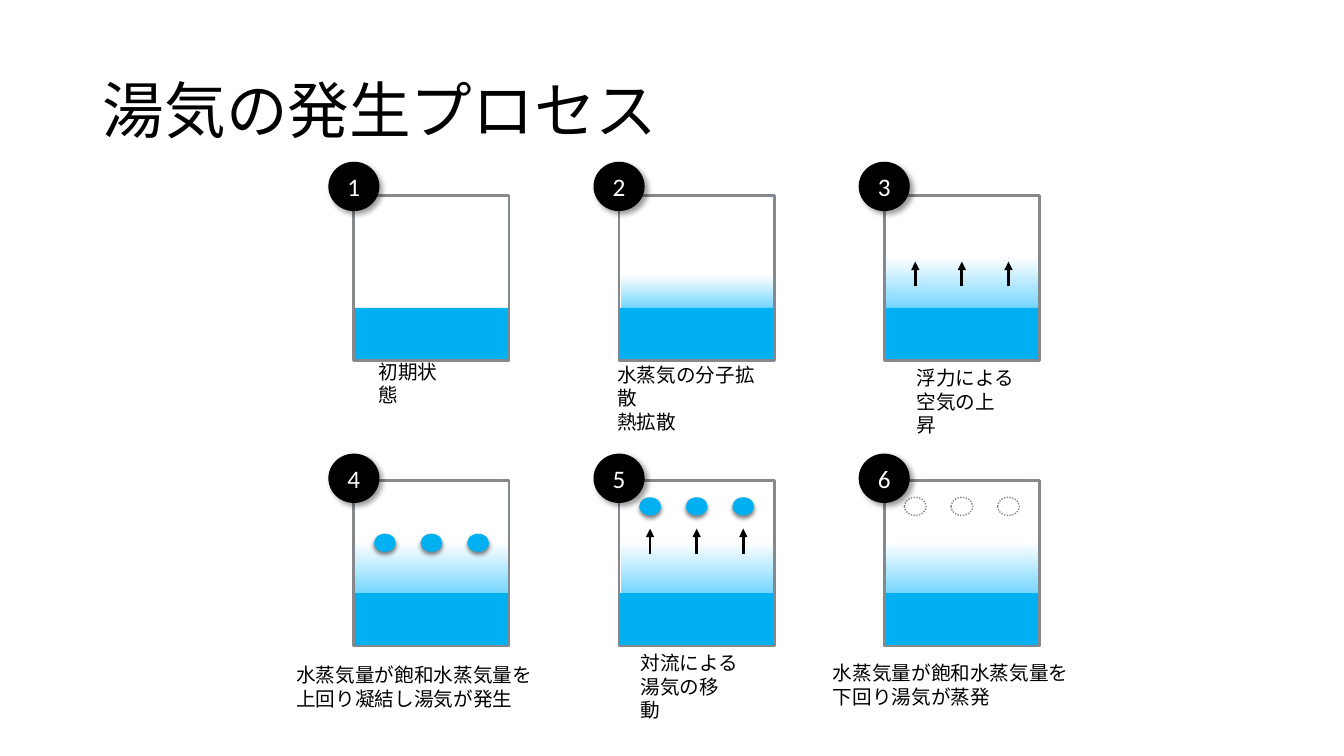
from dataclasses import dataclass

from lxml import etree
from pptx import Presentation
from pptx.dml.color import RGBColor
from pptx.enum.dml import MSO_LINE
from pptx.enum.shapes import MSO_CONNECTOR, MSO_SHAPE
from pptx.enum.text import MSO_ANCHOR, MSO_AUTO_SIZE, PP_ALIGN
from pptx.oxml.ns import qn
from pptx.shapes.autoshape import Shape
from pptx.slide import Slide
from pptx.text.text import TextFrame
from pptx.util import Inches, Length, Pt

RECTANGLE, OVAL = MSO_SHAPE.RECTANGLE, MSO_SHAPE.OVAL
STRAIGHT = MSO_CONNECTOR.STRAIGHT
DOTTED = MSO_LINE.ROUND_DOT
MIDDLE = MSO_ANCHOR.MIDDLE
LEFT, CENTER = PP_ALIGN.LEFT, PP_ALIGN.CENTER
FIT_SHAPE, NO_FIT = MSO_AUTO_SIZE.SHAPE_TO_FIT_TEXT, MSO_AUTO_SIZE.NONE

BLACK = RGBColor(0x00, 0x00, 0x00)
WHITE = RGBColor(0xFF, 0xFF, 0xFF)
WATER = RGBColor(0x00, 0xB0, 0xF0)
VAPOUR = RGBColor(0x76, 0xD6, 0xFF)
GRAY = RGBColor(0x85, 0x88, 0x8D)
FONT = "Calibri"

COLUMNS = 3
GRID_LEFT, GRID_TOP = 3.51, 1.94
COLUMN_PITCH, ROW_PITCH = 2.63, 2.83
TANK_WIDTH, TANK_HEIGHT = 1.54, 1.64
WATER_TOP = 0.68
MARK_STEP = 0.3
BADGE_TOPS = (-0.2, -0.16)


@dataclass(frozen=True)
class Shadow:
    opacity: int
    blur: int
    distance: int
    angle: int


@dataclass(frozen=True)
class Caption:
    text: str
    left: float
    top: float
    width: float
    height: float = 0.35


@dataclass(frozen=True)
class Stage:
    caption: Caption
    vapour_top: float | None = None
    droplet_top: float | None = None
    arrow_top: float | None = None
    evaporated: bool = False


@dataclass(frozen=True)
class Tank:
    column: int
    row: int

    def x(self, share: float) -> Length:
        return Inches(GRID_LEFT + self.column * COLUMN_PITCH + share * TANK_WIDTH)

    def y(self, share: float) -> Length:
        return Inches(GRID_TOP + self.row * ROW_PITCH + share * TANK_HEIGHT)

    def area(self, left: float, top: float, width: float, height: float) -> tuple[Length, ...]:
        return self.x(left), self.y(top), Inches(width * TANK_WIDTH), Inches(height * TANK_HEIGHT)


DROPLET_SHADOW = Shadow(50, 3, 2, 90)
BADGE_SHADOW = Shadow(40, 4, 3, 45)

STAGES = (
    Stage(Caption("初期状態", 0.12, 1.03, 0.58, 0.21)),
    Stage(Caption("水蒸気の分子拡散\v熱拡散", -0.05, 1.05, 1.09), vapour_top=0.48),
    Stage(Caption("浮力による\v空気の上昇", 0.17, 1.07, 0.71), vapour_top=0.37, arrow_top=0.4),
    Stage(Caption("水蒸気量が飽和水蒸気量を\n上回り凝結し湯気が発生", -0.41, 1.07, 1.6),
          vapour_top=0.37, droplet_top=0.32),
    Stage(Caption("対流による\v湯気の移動", 0.1, 1.07, 0.71),
          vapour_top=0.37, droplet_top=0.1, arrow_top=0.29),
    Stage(Caption("水蒸気量が飽和水蒸気量を\n下回り湯気が蒸発", -0.37, 1.06, 1.6),
          vapour_top=0.37, droplet_top=0.1, evaporated=True),
)


def write(frame: TextFrame, text: str, size: int, color: RGBColor, align: PP_ALIGN) -> None:
    frame.text = text
    frame.vertical_anchor = MIDDLE
    for para in frame.paragraphs:
        para.alignment = align
        for span in para.runs:
            span.font.name = FONT
            span.font.size = Pt(size)
            span.font.color.rgb = color


def add_shape(page: Slide, kind: MSO_SHAPE, area: tuple[Length, ...],
              fill: RGBColor | None = None, line: RGBColor | None = None,
              line_width: int = 1) -> Shape:
    shape = page.shapes.add_shape(kind, *area)
    shape.shadow.inherit = False
    if fill is None:
        shape.fill.background()
    else:
        shape.fill.solid()
        shape.fill.fore_color.rgb = fill
    if line is None:
        shape.line.fill.background()
    else:
        shape.line.color.rgb = line
        shape.line.width = Pt(line_width)
    return shape


def cast_shadow(shape: Shape, shadow: Shadow) -> None:
    effects = shape.element.spPr.find(qn("a:effectLst"))
    outer = etree.SubElement(effects, qn("a:outerShdw"), blurRad=str(Pt(shadow.blur)),
                             dist=str(Pt(shadow.distance)), dir=str(shadow.angle * 60000),
                             rotWithShape="0")
    color = etree.SubElement(outer, qn("a:srgbClr"), val=str(BLACK))
    etree.SubElement(color, qn("a:alpha"), val=str(shadow.opacity * 1000))


def add_vapour(page: Slide, tank: Tank, top: float) -> None:
    vapour = add_shape(page, RECTANGLE, tank.area(0.01, top, 0.98, WATER_TOP - top))
    vapour.fill.gradient()
    vapour.fill.gradient_angle = 270
    for stop, color, position in zip(vapour.fill.gradient_stops, (WHITE, VAPOUR), (0, 1)):
        stop.color.rgb = color
        stop.position = position


def add_droplets(page: Slide, tank: Tank, top: float, evaporated: bool) -> None:
    for index in range(3):
        area = tank.area(0.13 + index * MARK_STEP, top, 0.14, 0.11)
        if evaporated:
            add_shape(page, OVAL, area, line=GRAY).line.dash_style = DOTTED
        else:
            cast_shadow(add_shape(page, OVAL, area, WATER), DROPLET_SHADOW)


def add_arrows(page: Slide, tank: Tank, top: float) -> None:
    for index in range(3):
        x = tank.x(0.2 + index * MARK_STEP)
        arrow = page.shapes.add_connector(STRAIGHT, x, tank.y(top + 0.15), x, tank.y(top))
        arrow.line.color.rgb = BLACK
        arrow.line.width = Pt(2)
        properties = arrow.element.spPr
        etree.SubElement(properties.find(qn("a:ln")), qn("a:tailEnd"), type="triangle")
        etree.SubElement(properties, qn("a:effectLst"))


def add_caption(page: Slide, tank: Tank, caption: Caption) -> None:
    box = page.shapes.add_textbox(
        *tank.area(caption.left, caption.top, caption.width, caption.height))
    frame = box.text_frame
    frame.word_wrap = False
    frame.auto_size = FIT_SHAPE
    frame.margin_left = frame.margin_right = Inches(0.06)
    frame.margin_top = frame.margin_bottom = Inches(0.06)
    write(frame, caption.text, 14, BLACK, LEFT)


def add_badge(page: Slide, tank: Tank, number: int) -> None:
    area = tank.area(-0.16, BADGE_TOPS[tank.row], 0.32, 0.29)
    badge = add_shape(page, OVAL, area, BLACK, BLACK)
    cast_shadow(badge, BADGE_SHADOW)
    write(badge.text_frame, str(number), 18, WHITE, CENTER)


def add_stage(page: Slide, tank: Tank, stage: Stage, number: int) -> None:
    if stage.vapour_top is not None:
        add_vapour(page, tank, stage.vapour_top)
    add_shape(page, RECTANGLE, tank.area(0, WATER_TOP, 1, 1 - WATER_TOP), WATER)
    add_shape(page, RECTANGLE, tank.area(0, 0, 1, 1), line=GRAY, line_width=2)
    if stage.droplet_top is not None:
        add_droplets(page, tank, stage.droplet_top, stage.evaporated)
    if stage.arrow_top is not None:
        add_arrows(page, tank, stage.arrow_top)
    add_caption(page, tank, stage.caption)
    add_badge(page, tank, number)


def add_title(page: Slide, text: str) -> None:
    title = page.shapes.title
    title.left, title.top = Inches(0.92), Inches(0.4)
    title.width, title.height = Inches(11.5), Inches(1.45)
    write(title.text_frame, text, 44, BLACK, LEFT)
    title.text_frame.auto_size = NO_FIT
    title.text_frame.paragraphs[0].line_spacing = 0.9


def main() -> None:
    deck = Presentation()
    deck.slide_width, deck.slide_height = Inches(13.33), Inches(7.5)
    page = deck.slides.add_slide(deck.slide_layouts[5])
    add_title(page, "湯気の発生プロセス")
    for index, stage in enumerate(STAGES):
        row, column = divmod(index, COLUMNS)
        add_stage(page, Tank(column, row), stage, index + 1)
    deck.save("out.pptx")


if __name__ == "__main__":
    main()
